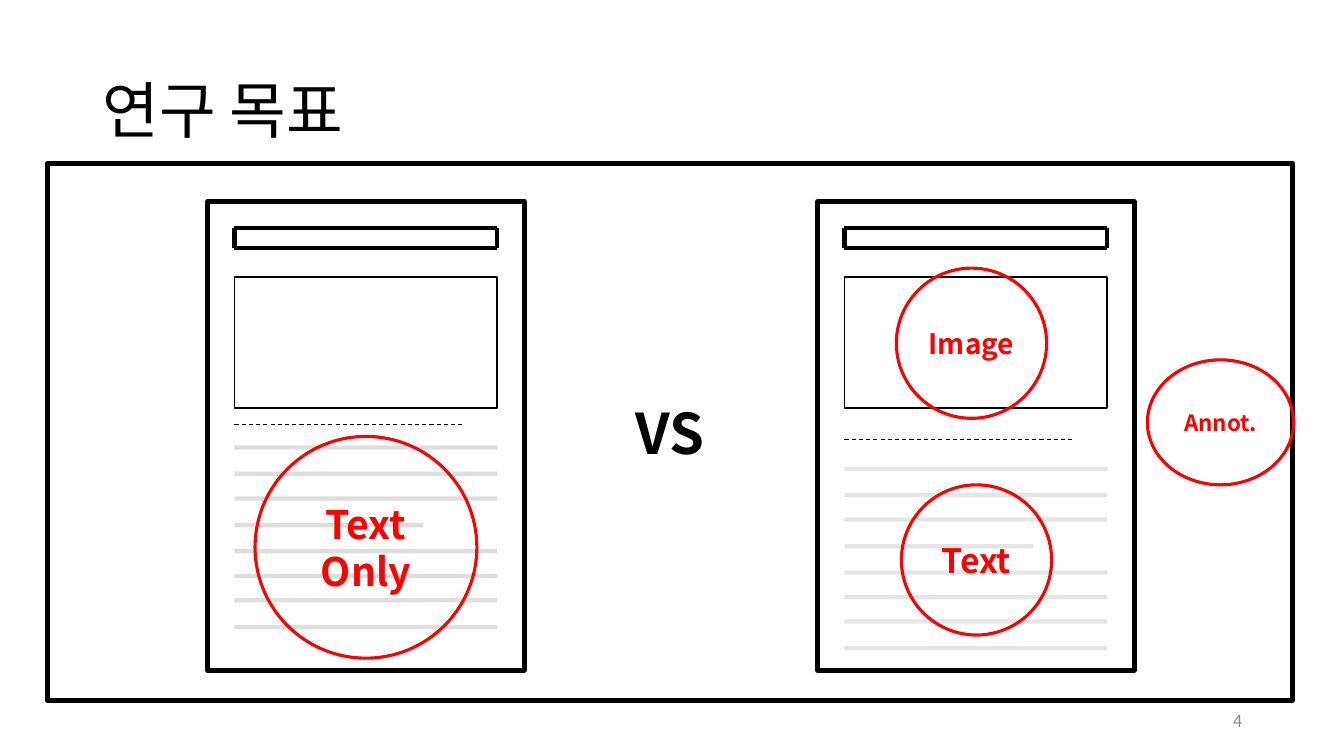
"""Build the research goal slide comparing a text-only page with an annotated one."""
from lxml.etree import SubElement
from pptx import Presentation
from pptx.dml.color import RGBColor
from pptx.enum.dml import MSO_LINE
from pptx.enum.shapes import MSO_CONNECTOR, MSO_SHAPE
from pptx.enum.text import MSO_ANCHOR, PP_ALIGN
from pptx.oxml.ns import qn
from pptx.util import Inches, Pt

COLORS = {"ink": "000000", "paper": "FFFFFF", "mark": "FF0000", "number": "8C8C8C"}
FONT = "Noto Sans CJK KR"

presentation = Presentation()
presentation.slide_width = Inches(13.33)
presentation.slide_height = Inches(7.5)
slide = presentation.slides.add_slide(presentation.slide_layouts[6])
CELL = presentation.slide_height / 75


def write(text, *, place, size, owner=slide.shapes, preset=None, fill=None, line=None,
          weight=1, color="ink", bold=False, align=PP_ALIGN.CENTER, spacing=1.0):
    """Add a shape, or a text box without a preset, at grid cells and put text in it."""
    box = [round(CELL * cells) for cells in place]
    if preset is None:
        shape = owner.add_textbox(*box)
    else:
        shape = owner.add_shape(preset, *box)
        shape.shadow.inherit = False
        shape.line.color.rgb = RGBColor.from_string(COLORS[line])
        shape.line.width = Pt(weight)
        if fill:
            shape.fill.solid()
            shape.fill.fore_color.rgb = RGBColor.from_string(COLORS[fill])
        else:
            shape.fill.background()
    if text:
        frame = shape.text_frame
        frame.word_wrap = True
        frame.vertical_anchor = MSO_ANCHOR.MIDDLE
        paragraph = frame.paragraphs[0]
        paragraph.alignment = align
        paragraph.line_spacing = spacing
        run = paragraph.add_run()
        run.text = text
        run.font.size = Pt(size)
        run.font.bold = bold
        run.font.color.rgb = RGBColor.from_string(COLORS[color])
        run.font.name = FONT
        SubElement(run.font._element, qn("a:ea"), typeface=FONT)


def rule(owner, start, end, weight=3, opacity=100, dashed=False):
    """Draw a straight line between two grid points."""
    connector = owner.add_connector(
        MSO_CONNECTOR.STRAIGHT, *[round(CELL * cells) for cells in (*start, *end)])
    connector.line.color.rgb = RGBColor.from_string(COLORS["ink"])
    connector.line.width = Pt(weight)
    if dashed:
        connector.line.dash_style = MSO_LINE.DASH
    if opacity < 100:
        color = connector.line._ln.find(".//" + qn("a:srgbClr"))
        SubElement(color, qn("a:alpha"), val=str(opacity * 1000))
    SubElement(connector._element.spPr, qn("a:effectLst"))


write("연구 목표", place=(9.2, 4, 115, 14.5), size=44, align=PP_ALIGN.LEFT, spacing=0.9)
write("VS", place=(4.7, 16.2, 123.5, 53.3), size=40, bold=True,
      preset=MSO_SHAPE.RECTANGLE, fill="paper", line="ink", weight=3.5)

MARGIN, CONTENT_WIDTH = 2.65, 26.05
HEADING_TOP, HEADING_BOTTOM = 22.6, 24.6
SHORT_LINE = 3
LINE_OFFSETS = (0, 2.6, 5.05, 7.7, 10.3, 12.75, 15.15, 17.8)

PAGES = [
    {"left": 20.6, "caption": 42.1, "body": 44.4, "opacity": 13,
     "circles": [("Text Only", (25.3, 43.3, 22, 22), 28)]},
    {"left": 81.1, "caption": 43.6, "body": 46.5, "opacity": 10,
     "circles": [("Image", (88.9, 26.6, 14.9, 14.9), 20),
                 ("Text", (89.4, 48.1, 14.9, 14.9), 24),
                 ("Annot.", (113.8, 35.7, 14.5, 12.4), 16)]},
]

for page in PAGES:
    group = slide.shapes.add_group_shape().shapes
    left = page["left"] + MARGIN
    right = left + CONTENT_WIDTH
    for place, weight in (((page["left"], 20, 31.4, 46.5), 3.5),
                          ((left, 27.5, CONTENT_WIDTH, 13), 1)):
        write("", place=place, size=12, owner=group, preset=MSO_SHAPE.RECTANGLE,
              fill="paper", line="ink", weight=weight)

    for top in (HEADING_TOP, HEADING_BOTTOM):
        rule(group, (left, top), (right, top))
    for side in (left, right):
        rule(group, (side, HEADING_TOP), (side, HEADING_BOTTOM))

    rule(group, (left, page["caption"]), (left + 22.6, page["caption"]),
         weight=0.75, dashed=True)
    for index, offset in enumerate(LINE_OFFSETS):
        top = page["body"] + offset
        length = 18.75 if index == SHORT_LINE else CONTENT_WIDTH
        rule(group, (left, top), (left + length, top), opacity=page["opacity"])

    for label, place, size in page["circles"]:
        write(label, place=place, size=size, owner=group, preset=MSO_SHAPE.OVAL,
              line="mark", weight=2.25, color="mark", bold=True)

write("4", place=(94.2, 69.5, 30, 4), size=12, color="number", align=PP_ALIGN.RIGHT)

presentation.save("out.pptx")
